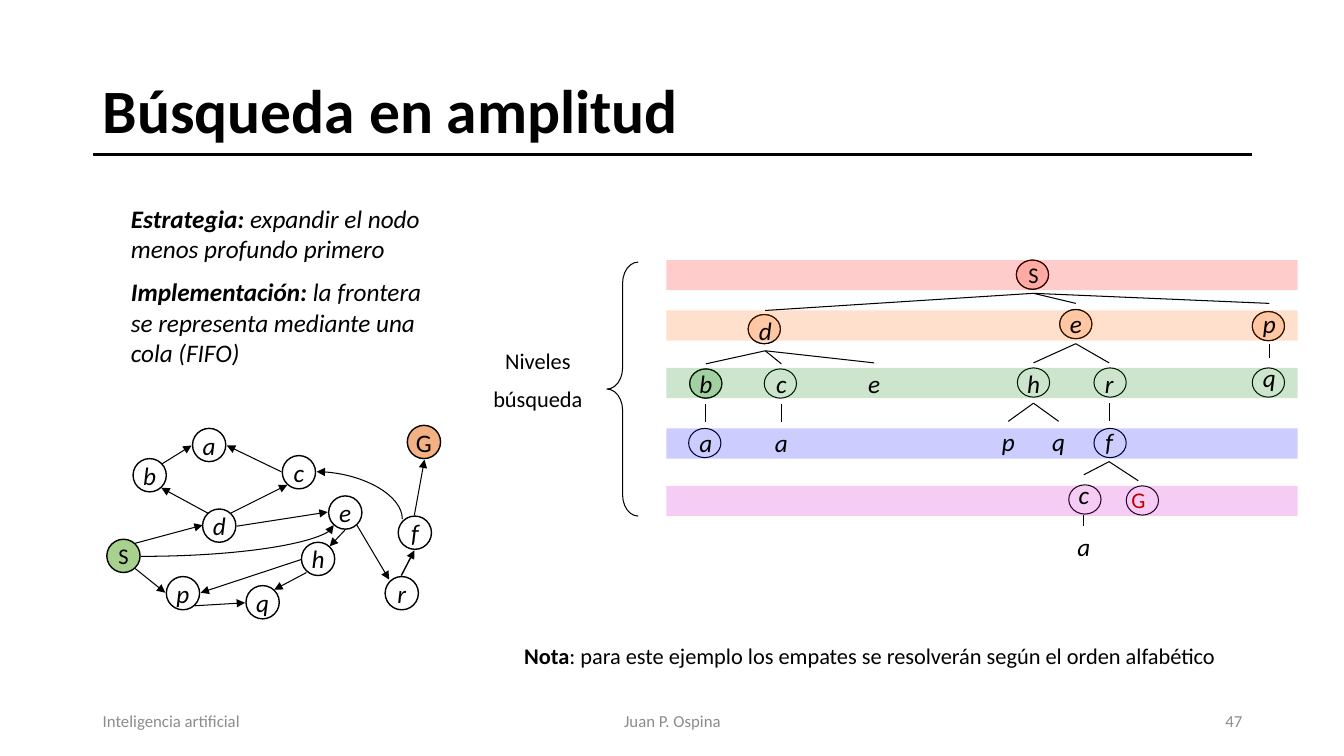
from lxml import etree
from pptx import Presentation, util as u
from pptx.dml.color import RGBColor
from pptx.enum import shapes, text
from pptx.oxml.ns import qn

presentation = Presentation()
presentation.slide_width, presentation.slide_height = u.Inches(13.33), u.Inches(7.5)
slide = presentation.slides.add_slide(presentation.slide_layouts[6])

# Grid: 1333 columns by 750 rows
COLUMN = presentation.slide_width / 1333
ROW = presentation.slide_height / 750
FONT = "Calibri"
COLORS = {"black": "000000", "gray": "8C8C8C", "goal": "C00000",
          "start fill": "A9D18E", "goal fill": "F4B183",
          "red": "FF0000", "scarlet": "FF3300", "orange": "FF6600",
          "green": "008000", "blue": "0000FF", "purple": "CC00CC"}
LEFT, CENTER, RIGHT = text.PP_ALIGN.LEFT, text.PP_ALIGN.CENTER, text.PP_ALIGN.RIGHT
TOP, MIDDLE = text.MSO_ANCHOR.TOP, text.MSO_ANCHOR.MIDDLE


def add_figure(kind, left, top, width, height, fill=None, opacity=100, line=None):
    shape = slide.shapes.add_shape(kind, round(left * COLUMN), round(top * ROW),
                                   round(width * COLUMN), round(height * ROW))
    shape.shadow.inherit = False
    if fill:
        shape.fill.solid()
        shape.fill.fore_color.rgb = RGBColor.from_string(COLORS[fill])
        if opacity < 100:
            color = shape.fill._xPr.find(".//" + qn("a:srgbClr"))
            etree.SubElement(color, qn("a:alpha"), val=str(opacity * 1000))
    else:
        shape.fill.background()
    if line:
        shape.line.color.rgb = RGBColor.from_string(COLORS["black"])
        shape.line.width = u.Pt(line)
    else:
        shape.line.fill.background()
    return shape


def add_line(x1, y1, x2, y2, width=0.75, arrow=None, curved=False):
    kind = shapes.MSO_CONNECTOR.CURVE if curved else shapes.MSO_CONNECTOR.STRAIGHT
    connector = slide.shapes.add_connector(kind, round(x1 * COLUMN), round(y1 * ROW),
                                           round(x2 * COLUMN), round(y2 * ROW))
    connector.line.color.rgb = RGBColor.from_string(COLORS["black"])
    connector.line.width = u.Pt(width)
    properties = connector._element.spPr
    if curved:
        properties.find(qn("a:prstGeom")).set("prst", "curvedConnector2")
    if arrow:
        etree.SubElement(connector.line._get_or_add_ln(), qn("a:" + arrow), type="triangle")
    etree.SubElement(properties, qn("a:effectLst"))


# Title rule
add_line(92, 153, 1242, 153, 2.25)

# State graph: nodes as letter, left, top
graph_nodes = [("S", 106, 535), ("G", 404, 422), ("d", 201, 505), ("b", 132, 455),
               ("p", 165, 572), ("q", 244, 581), ("c", 280, 452), ("e", 326, 492),
               ("h", 299, 538), ("a", 191, 425), ("f", 395, 512), ("r", 382, 572)]
node_fills = {"S": "start fill", "G": "goal fill"}
for letter, left, top in graph_nodes:
    node = add_figure(shapes.MSO_SHAPE.FLOWCHART_CONNECTOR, left, top, 33, 33,
                      node_fills.get(letter), line=1)
    frame = node.text_frame
    frame.margin_left = frame.margin_right = frame.margin_top = frame.margin_bottom = 0
    frame.word_wrap = False
    frame.vertical_anchor = MIDDLE
    frame.text = letter
    frame.paragraphs[0].alignment = CENTER
    font = frame.paragraphs[0].runs[0].font
    font.name, font.size = FONT, u.Pt(16 if letter == "S" else 18)
    font.italic = letter.islower()
    font.color.rgb = RGBColor.from_string(COLORS["black"])

# State graph: arrows
for ends in [(134, 564, 164, 588), (193, 601, 243, 598), (304, 568, 272, 585),
             (299, 555, 199, 588), (342, 526, 327, 542), (354, 521, 386, 575),
             (398, 571, 411, 546, 1), (411, 511, 421, 456), (134, 539, 201, 521),
             (206, 509, 160, 484), (161, 460, 190, 442), (279, 468, 225, 442),
             (229, 509, 285, 481), (235, 522, 325, 508)]:
    add_line(*ends, arrow="tailEnd")
add_line(314, 468, 399, 515, arrow="headEnd", curved=True)
add_line(140, 552, 331, 521, arrow="tailEnd", curved=True)

# Search tree: letter, label centre, label top, parent index, circle corner, circle tint
tree = [("S", 1025, 254, None, (1008, 258), "scarlet"),
        ("d", 759, 308, 0, (742, 312), "orange"),
        ("e", 1067, 301, 0, (1051, 307), "orange"),
        ("p", 1259, 301, 0, (1242, 309), "orange"),
        ("b", 700, 361, 1, (684, 366), "green"),
        ("c", 775, 361, 1, (758, 366), None),
        ("e", 867, 360, 1, None, None),
        ("h", 1025, 360, 2, (1009, 365), None),
        ("r", 1100, 360, 2, (1085, 365), None),
        ("q", 1259, 355, 3, (1242, 365), None),
        ("a", 700, 419, 4, (683, 425), None),
        ("a", 775, 419, 5, None, None),
        ("p", 1000, 418, 7, None, None),
        ("q", 1050, 418, 7, None, None),
        ("f", 1100, 418, 8, (1085, 425), None),
        ("c", 1075, 471, 14, (1060, 481), None),
        ("G", 1129, 477, 14, (1117, 482), None),
        ("a", 1075, 522, 15, None, None)]
for letter, center, top, parent, corner, tint in tree:
    if corner:
        add_figure(shapes.MSO_SHAPE.OVAL, *corner, 32, 29, line=0.75)
    if tint:
        add_figure(shapes.MSO_SHAPE.OVAL, *corner, 32, 29, tint, 20, 0.75)

# Level bands and brace
for top, color in [(258, "red"), (308, "orange"), (365, "green"),
                   (425, "blue"), (482, "purple")]:
    add_figure(shapes.MSO_SHAPE.RECTANGLE, 661, top, 626, 30, color, 20)
brace = add_figure(shapes.MSO_SHAPE.LEFT_BRACE, 602, 260, 31, 252, line=0.75)
brace.adjustments[0] = 0.679

# Texts: box, paragraphs as (bold lead, rest), size, color, alignment, anchor, italic
texts = [
    ((92, 40, 1150, 145), [("Búsqueda en amplitud", "")], 44, "black", LEFT, MIDDLE, False),
    ((92, 695, 300, 40), [("", "Inteligencia artificial")], 12, "gray", LEFT, MIDDLE, False),
    ((442, 695, 450, 40), [("", "Juan P. Ospina")], 12, "gray", CENTER, MIDDLE, False),
    ((942, 695, 300, 40), [("", "47")], 12, "gray", RIGHT, MIDDLE, False),
    ((120, 197, 317, 177),
     [("Estrategia: ", "expandir el nodo menos profundo primero"),
      ("Implementación: ", "la frontera se representa mediante una cola (FIFO)")],
     18, "black", LEFT, TOP, True),
    ((477, 339, 113, 77), [("", "Niveles"), ("", "búsqueda")], 16, "black", CENTER, TOP, False),
    ((510, 632, 714, 37),
     [("Nota", ": para este ejemplo los empates se resolverán según el orden alfabético")],
     16, "black", LEFT, TOP, False),
]

# Tree branches and labels
for letter, center, top, parent, corner, tint in tree:
    if parent is not None:
        parent_letter, parent_center, parent_top = tree[parent][:3]
        add_line(parent_center, parent_top + (37 if parent_letter == "S" else 40), center, top)
    texts.append(((center - 21, top, 42, 40), [("", letter)], 18 if letter.islower() else 16,
                  "goal" if letter == "G" else "black", CENTER, TOP, letter.islower()))

for (left, top, width, height), paragraphs, size, color, alignment, anchor, italic in texts:
    box = slide.shapes.add_textbox(round(left * COLUMN), round(top * ROW),
                                   round(width * COLUMN), round(height * ROW))
    frame = box.text_frame
    frame.word_wrap = True
    frame.vertical_anchor = anchor
    for index, parts in enumerate(paragraphs):
        paragraph = frame.add_paragraph() if index else frame.paragraphs[0]
        paragraph.alignment = alignment
        if index:
            paragraph.space_before = u.Pt(size / 2)
        if size == 44:
            paragraph.line_spacing = 0.9
        for part, bold in zip(parts, (True, False)):
            if part:
                run = paragraph.add_run()
                run.text = part
                run.font.name, run.font.size = FONT, u.Pt(size)
                run.font.bold, run.font.italic = bold, italic
                run.font.color.rgb = RGBColor.from_string(COLORS[color])

presentation.save("out.pptx")
